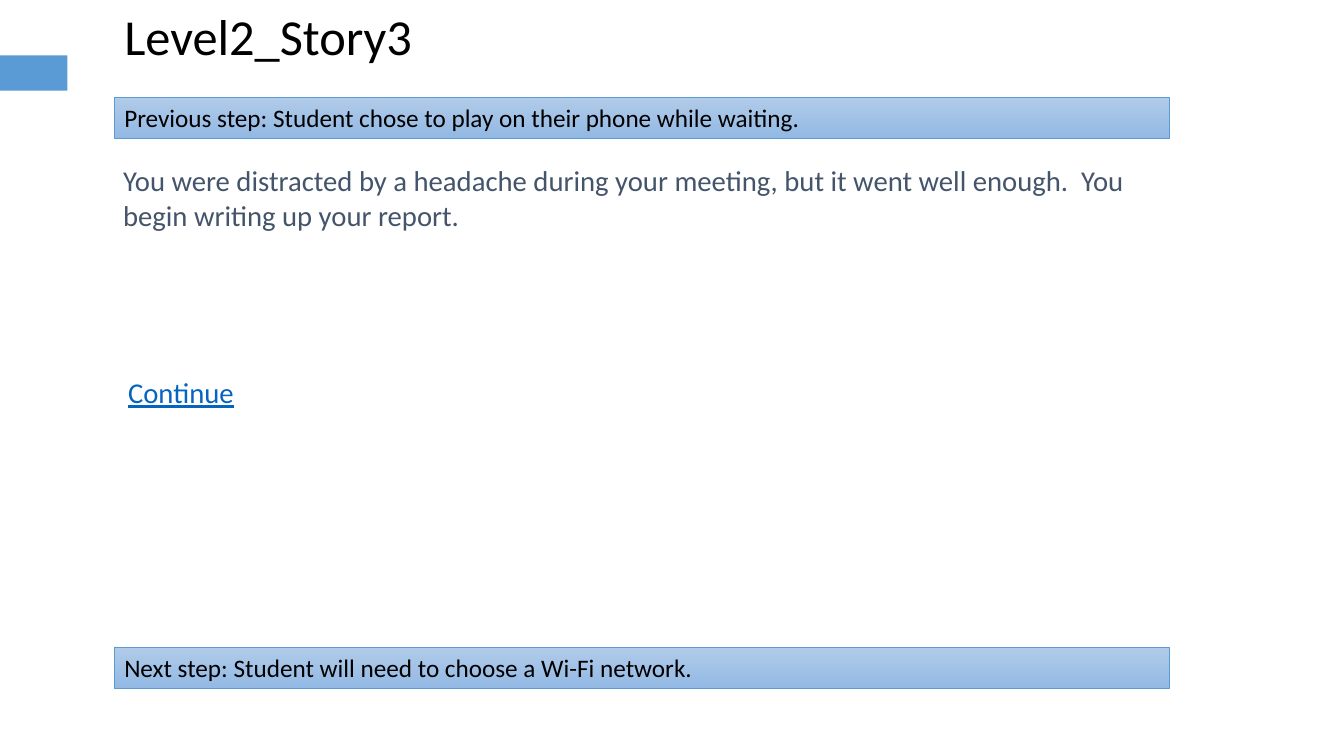
from pptx import Presentation
from pptx.dml.color import RGBColor as RGB
from pptx.enum.shapes import MSO_SHAPE as SHAPE
from pptx.enum.text import MSO_ANCHOR as ANCHOR, PP_ALIGN as ALIGN
from pptx.util import Pt

COLORS = {
    "accent": "5B9BD5", "bar_top": "B1CBE9", "bar_bottom": "93B9E4",
    "black": "000000", "body": "44546A", "link": "0563C1",
}


def rgb(name):
    return RGB.from_string(COLORS[name])


def add_text(sp, text, color, inset_x=7.2, inset_y=3.6, anchor=ANCHOR.TOP, **font):
    tf = sp.text_frame
    frame = dict(word_wrap=True, vertical_anchor=anchor,
                 margin_left=Pt(inset_x), margin_right=Pt(inset_x),
                 margin_top=Pt(inset_y), margin_bottom=Pt(inset_y))
    for key, value in frame.items():
        setattr(tf, key, value)
    p = tf.paragraphs[0]
    p.alignment = ALIGN.LEFT
    r = p.add_run()
    r.text = text
    for key, value in dict(name="Calibri", **font).items():
        setattr(r.font, key, value)
    r.font.color.rgb = rgb(color)


prs = Presentation()
prs.slide_width, prs.slide_height = Pt(960), Pt(540)
s = prs.slides.add_slide(prs.slide_layouts[6])

# Accent tab at the left edge
tab = s.shapes.add_shape(SHAPE.RECTANGLE, Pt(0), Pt(39.6), Pt(48.2), Pt(25.2))
tab.shadow.inherit = False
tab.fill.solid()
tab.fill.fore_color.rgb = rgb("accent")
tab.line.fill.background()

# Story text, link and title
story = ("You were distracted by a headache during your meeting, "
         "but it went well enough.  You begin writing up your report.")
wide = dict(inset_x=9.4, inset_y=5, size=Pt(20.5))
texts = [
    ((78.5, 111.6, 756.7, 176.4), story, "body", wide),
    ((82.1, 262.8, 499.7, 38.9), "Continue", "link", dict(wide, underline=True)),
    ((81.7, 0, 440.6, 51.1), "Level2_Story3", "black", dict(size=Pt(36))),
]
for box, text, color, fmt in texts:
    sp = s.shapes.add_textbox(*map(Pt, box))
    add_text(sp, text, color, **fmt)

# Gradient bars for the previous and next steps
steps = [
    (69.4, "Previous step: Student chose to play on their phone while waiting."),
    (462.4, "Next step: Student will need to choose a Wi-Fi network."),
]
for top, text in steps:
    bar = s.shapes.add_shape(SHAPE.RECTANGLE, Pt(81.7), Pt(top), Pt(753.8), Pt(29.1))
    bar.shadow.inherit = False
    bar.fill.gradient()
    bar.fill.gradient_angle = 270
    for stop, color in zip(bar.fill.gradient_stops, ("bar_top", "bar_bottom")):
        stop.color.rgb = rgb(color)
    bar.line.color.rgb = rgb("accent")
    bar.line.width = Pt(0.5)
    add_text(bar, text, "black", size=Pt(18))

prs.save("out.pptx")
